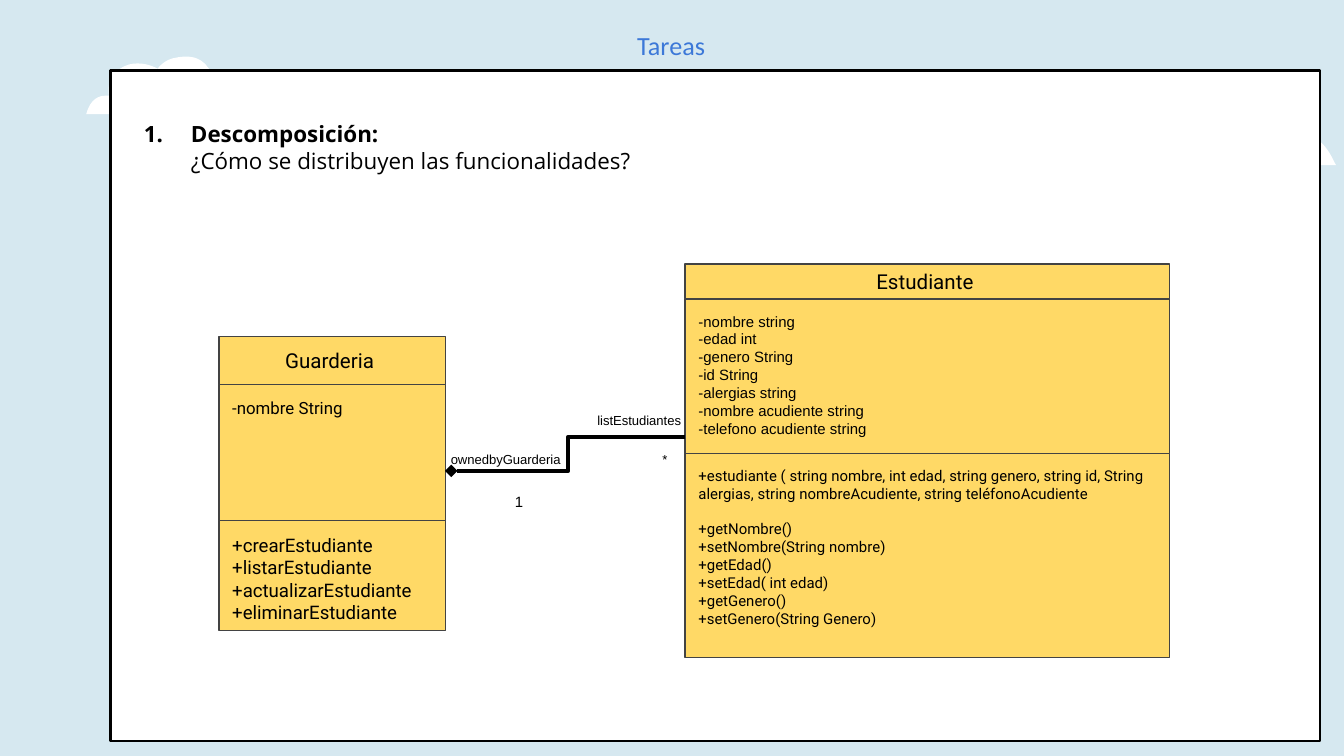
"""Build the "Tareas" slide with the Guarderia and Estudiante class diagram."""
from lxml import etree
from pptx import Presentation
from pptx.dml.color import RGBColor
from pptx.enum.shapes import MSO_CONNECTOR, MSO_SHAPE
from pptx.enum.text import MSO_ANCHOR as ANCHOR, PP_ALIGN as ALIGN
from pptx.oxml.ns import qn
from pptx.util import Cm, Pt

SKY = RGBColor(0xD6, 0xE8, 0xF0)
WHITE = RGBColor(0xFF, 0xFF, 0xFF)
BLACK = RGBColor(0x00, 0x00, 0x00)
BLUE = RGBColor(0x3C, 0x78, 0xD8)
YELLOW = RGBColor(0xFF, 0xD9, 0x66)
GREY = RGBColor(0x43, 0x43, 0x43)


def add_box(x, y, w, h, fill, line, width):
    sp = s.shapes.add_shape(MSO_SHAPE.RECTANGLE, Cm(x), Cm(y), Cm(w), Cm(h))
    sp.shadow.inherit = False
    sp.fill.solid()
    sp.fill.fore_color.rgb = fill
    sp.line.color.rgb = line
    sp.line.width = Pt(width)
    return sp


def write(sp, lines, font, size, color=BLACK, align=ALIGN.LEFT, anchor=ANCHOR.TOP, top=0.25):
    tf = sp.text_frame
    tf.word_wrap = True
    tf.vertical_anchor = anchor
    tf.margin_left = tf.margin_right = Cm(0.25)
    tf.margin_top = tf.margin_bottom = Cm(top)
    for i, line in enumerate(lines):
        p = tf.paragraphs[0] if i == 0 else tf.add_paragraph()
        p.text = line
        p.alignment = align
        p.font.name = font
        p.font.size = Pt(size)
        p.font.color.rgb = color
    return tf


prs = Presentation()
prs.slide_width, prs.slide_height = Cm(25.4), Cm(14.29)
s = prs.slides.add_slide(prs.slide_layouts[6])
s.background.fill.solid()
s.background.fill.fore_color.rgb = SKY

cloud_curves = [
    ((183, 0), (175, 1), (170, 2)),
    ((147, 5), (135, 23), (135, 23)),
    ((135, 23), (119, 13), (97, 13)),
    ((86, 13), (76, 15), (64, 23)),
    ((36, 36), (43, 74), (43, 74)),
    ((43, 74), (41, 74), (36, 74)),
    ((25, 74), (8, 79), (0, 109)),
    ((0, 109), (323, 109), (323, 109)),
    ((320, 107), (302, 51), (259, 51)),
    ((257, 51), (251, 51), (246, 53)),
    ((234, 20), (221, 0), (188, 0)),
]
for x, y in [(22.02, 2.03), (1.63, 1.07)]:
    fb = s.shapes.build_freeform(188, 0, scale=Cm(0.01))
    fb.add_line_segments([curve[-1] for curve in cloud_curves])
    sp = fb.convert_to_shape(Cm(x), Cm(y))
    for segment, curve in zip(list(sp._element.iter(qn("a:lnTo"))), cloud_curves):
        bezier = etree.Element(qn("a:cubicBezTo"))
        for px, py in curve:
            etree.SubElement(bezier, qn("a:pt"), x=str(px), y=str(py))
        segment.getparent().replace(segment, bezier)
    sp.shadow.inherit = False
    sp.fill.solid()
    sp.fill.fore_color.rgb = WHITE
    sp.line.fill.background()

title = s.shapes.add_textbox(Cm(2.54), Cm(0.3), Cm(20.29), Cm(0.79))
write(title, ["Tareas"], "Calibri", 14, BLUE, ALIGN.CENTER)

panel = add_box(2.09, 1.34, 22.86, 12.67, WHITE, BLACK, 1.5)
tf = write(panel, ["Descomposición:", "¿Cómo se distribuyen las funcionalidades?", "1"],
           "Open Sans", 12, top=0.93)
for p, margin, indent in zip(tf.paragraphs, (1.27, 1.27, 7.39), (-0.89, 0, 0)):
    pPr = p._p.get_or_add_pPr()
    pPr.set("marL", str(Cm(margin)))
    pPr.set("indent", str(Cm(indent)))
heading, _, owner_count = tf.paragraphs
heading.runs[0].font.bold = True
bullet = etree.Element(qn("a:buAutoNum"), type="arabicPeriod")
heading._p.pPr.find(qn("a:defRPr")).addprevious(bullet)
owner_count.font.name = "Arial"
owner_count.font.size = Pt(8)
owner_count.space_before = Pt(171)

guarderia = [
    (0.91, ["Guarderia "], "Roboto", 11),
    (2.57, ["-nombre String"], "Roboto", 9),
    (2.08, ["+crearEstudiante", "+listarEstudiante",
            "+actualizarEstudiante +eliminarEstudiante"], "Roboto", 10),
]
estudiante = [
    (0.66, ["Estudiante "], "Roboto", 11),
    (2.92, ["-nombre string", "-edad int", "-genero String", "-id String", "-alergias string",
            "-nombre acudiente string", "-telefono acudiente string"], "Arial", 8),
    (3.86, ["+estudiante ( string nombre, int edad, string genero, string id, String alergias, "
            "string nombreAcudiente, string teléfonoAcudiente",
            "+getNombre()", "+setNombre(String nombre)", "+getEdad()", "+setEdad( int edad)",
            "+getGenero()", "+setGenero(String Genero)"], "Roboto", 8),
]
for x, y, w, parts in [(4.14, 6.36, 4.28, guarderia), (12.95, 4.99, 9.16, estudiante)]:
    for i, (h, lines, font, size) in enumerate(parts):
        align, anchor = (ALIGN.CENTER, ANCHOR.MIDDLE) if i == 0 else (ALIGN.LEFT, ANCHOR.TOP)
        sp = add_box(x, y, w, h, YELLOW, GREY, 0.75)
        tf = write(sp, lines, font, size, align=align, anchor=anchor)
        y += h
tf.paragraphs[1].space_before = Pt(9.5)

owner_label = s.shapes.add_textbox(Cm(8.27), Cm(8.38), Cm(4.67), Cm(0.86))
tf = write(owner_label, ["ownedbyGuarderia\t*"], "Arial", 7, top=0.15)
tabs = etree.Element(qn("a:tabLst"))
etree.SubElement(tabs, qn("a:tab"), pos=str(Cm(4)), algn="l")
tf.paragraphs[0]._p.pPr.find(qn("a:defRPr")).addprevious(tabs)

list_label = s.shapes.add_textbox(Cm(10.62), Cm(7.67), Cm(2.92), Cm(0.56))
write(list_label, ["listEstudiantes"], "Arial", 7, align=ALIGN.CENTER, top=0.13)

link = s.shapes.add_connector(MSO_CONNECTOR.ELBOW, Cm(12.95), Cm(8.26), Cm(8.53), Cm(8.9))
link.line.color.rgb = BLACK
link.line.width = Pt(2.25)
etree.SubElement(link.line._get_or_add_ln(), qn("a:tailEnd"), type="diamond")
etree.SubElement(link._element.spPr, qn("a:effectLst"))

prs.save("out.pptx")
